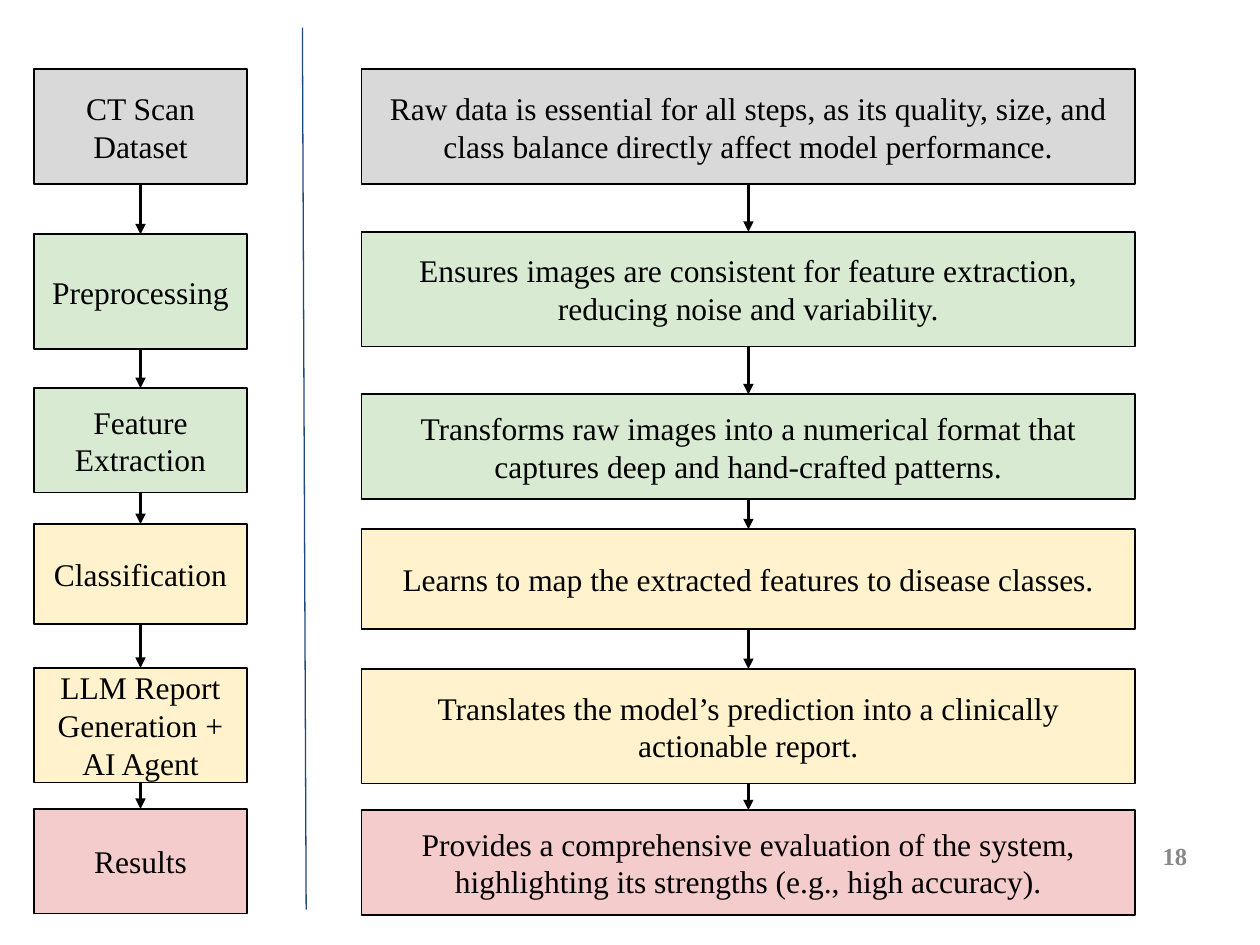
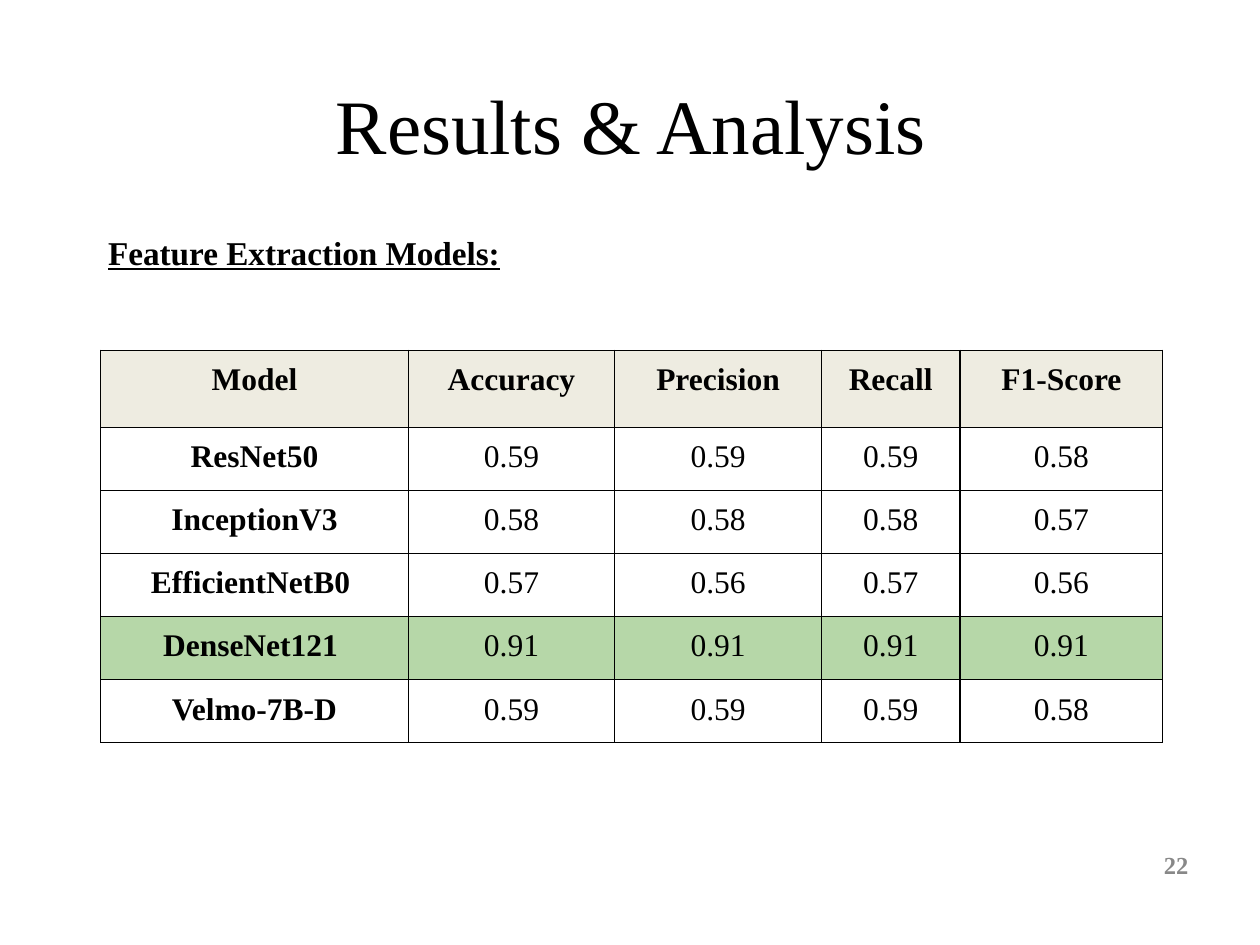
import dataclasses
import itertools

import lxml.etree
import pptx
import pptx.dml.color
import pptx.enum.shapes
import pptx.enum.text
import pptx.oxml.ns
import pptx.util

Inches = pptx.util.Inches
Pt = pptx.util.Pt
Align = pptx.enum.text.PP_ALIGN
Anchor = pptx.enum.text.MSO_ANCHOR
qn = pptx.oxml.ns.qn


@dataclasses.dataclass(frozen=True)
class Theme:
    font: str = "Times New Roman"
    ink: str = "000000"
    paper: str = "FFFFFF"
    muted: str = "888888"
    divider: str = "1F497D"
    data: str = "D9D9D9"
    features: str = "D9EAD3"
    modelling: str = "FFF2CC"
    outcome: str = "F4CCCC"
    header: str = "EEECE1"
    best: str = "B6D7A8"
    title_size: int = 44
    heading_size: int = 19
    body_size: int = 18
    number_size: int = 14


THEME = Theme()

STAGES = [
    ("CT Scan Dataset",
     "Raw data is essential for all steps, as its quality, size, and class balance directly affect model performance.",
     THEME.data),
    ("Preprocessing",
     "Ensures images are consistent for feature extraction, reducing noise and variability.",
     THEME.features),
    ("Feature Extraction",
     "Transforms raw images into a numerical format that captures deep and hand-crafted patterns.",
     THEME.features),
    ("Classification",
     "Learns to map the extracted features to disease classes.",
     THEME.modelling),
    ("LLM Report Generation + AI Agent",
     "Translates the model’s prediction into a clinically actionable report.",
     THEME.modelling),
    ("Results",
     "Provides a comprehensive evaluation of the system, highlighting its strengths (e.g., high accuracy).",
     THEME.outcome),
]
STAGE_HEIGHTS = [0.91, 0.91, 0.83, 0.79, 0.91, 0.83]
NAME_OFFSETS = [0, 1.31, 2.53, 3.61, 4.75, 5.87]
PURPOSE_OFFSETS = [0, 1.29, 2.58, 3.65, 4.76, 5.88]

SCORES = [
    ("Model", "Accuracy", "Precision", "Recall", "F1-Score"),
    ("ResNet50", "0.59", "0.59", "0.59", "0.58"),
    ("InceptionV3", "0.58", "0.58", "0.58", "0.57"),
    ("EfficientNetB0 ", "0.57", "0.56", "0.57", "0.56"),
    ("DenseNet121 ", "0.91", "0.91", "0.91", "0.91"),
    ("Velmo-7B-D", "0.59", "0.59", "0.59", "0.58"),
]
BEST_ROW = 4
COLUMN_WIDTHS = [2.44, 1.64, 1.64, 1.1, 1.61]
ROW_HEIGHTS = [0.61] + [0.45] * 5


def rgb(color):
    return pptx.dml.color.RGBColor.from_string(color)


def write(frame, text, size, align=Align.CENTER, color=THEME.ink, bold=False, underline=False):
    frame.word_wrap = True
    para = frame.paragraphs[0]
    para.text = text
    para.alignment = align
    font = para.font
    font.name, font.size = THEME.font, Pt(size)
    font.bold, font.underline = bold, underline
    font.color.rgb = rgb(color)


def add_text(page, box, text, size, anchor=Anchor.MIDDLE, **style):
    frame = page.shapes.add_textbox(*map(Inches, box)).text_frame
    frame.vertical_anchor = anchor
    write(frame, text, size, **style)
    return frame


def add_page_number(page, box, number):
    add_text(page, box, number, THEME.number_size, align=Align.RIGHT, color=THEME.muted, bold=True)


def add_line(page, start, end, color, width, arrow=False):
    line = page.shapes.add_connector(
        pptx.enum.shapes.MSO_CONNECTOR.STRAIGHT, *map(Inches, start + end))
    line.line.color.rgb = rgb(color)
    line.line.width = Pt(width)
    properties = line.element.spPr
    if arrow:
        lxml.etree.SubElement(properties.find(qn("a:ln")), qn("a:tailEnd"), type="triangle")
    lxml.etree.SubElement(properties, qn("a:effectLst"))


def add_stage(page, box, text, color):
    stage = page.shapes.add_shape(
        pptx.enum.shapes.MSO_SHAPE.RECTANGLE, *map(Inches, box))
    stage.shadow.inherit = False
    stage.fill.solid()
    stage.fill.fore_color.rgb = rgb(color)
    stage.line.color.rgb = rgb(THEME.ink)
    stage.line.width = Pt(1)
    stage.text_frame.vertical_anchor = Anchor.MIDDLE
    write(stage.text_frame, text, THEME.body_size)


def add_flow(page, left, top, width, offsets, texts):
    spans = [(top + offset, height) for offset, height in zip(offsets, STAGE_HEIGHTS)]
    for (stage_top, height), text, stage in zip(spans, texts, STAGES):
        add_stage(page, (left, stage_top, width, height), text, stage[2])
    middle = left + width / 2
    for (upper, height), (lower, _) in itertools.pairwise(spans):
        add_line(page, (middle, upper + height), (middle, lower), THEME.ink, 1.5, arrow=True)


def add_cell_borders(cell):
    properties = cell._tc.get_or_add_tcPr()
    for side in ("lnL", "lnR", "lnT", "lnB"):
        border = lxml.etree.SubElement(properties, qn(f"a:{side}"), w=str(Pt(0.75)))
        fill = lxml.etree.SubElement(border, qn("a:solidFill"))
        lxml.etree.SubElement(fill, qn("a:srgbClr"), val=THEME.ink)


def add_score_table(page, left, top):
    box = (left, top, sum(COLUMN_WIDTHS), sum(ROW_HEIGHTS))
    table = page.shapes.add_table(len(SCORES), len(COLUMN_WIDTHS), *map(Inches, box)).table
    table.first_row = table.horz_banding = False
    for column, width in zip(table.columns, COLUMN_WIDTHS):
        column.width = Inches(width)
    row_colors = {0: THEME.header, BEST_ROW: THEME.best}
    for row_index, (row, height, values) in enumerate(zip(table.rows, ROW_HEIGHTS, SCORES)):
        row.height = Inches(height)
        for column_index, (cell, value) in enumerate(zip(row.cells, values)):
            cell.margin_left = cell.margin_right = Inches(0.1)
            cell.margin_top = cell.margin_bottom = Inches(0.1)
            add_cell_borders(cell)
            cell.fill.solid()
            cell.fill.fore_color.rgb = rgb(row_colors.get(row_index, THEME.paper))
            write(cell.text_frame, value, THEME.body_size, bold=row_index == 0 or column_index == 0)


def build_pipeline_page(page):
    names, purposes, _ = zip(*STAGES)
    add_flow(page, 0.27, 0.55, 1.69, NAME_OFFSETS, names)
    add_line(page, (2.4, 0.22), (2.43, 7.22), THEME.divider, 0.75)
    add_flow(page, 2.87, 0.55, 6.14, PURPOSE_OFFSETS, purposes)
    add_page_number(page, (7.19, 6.59, 2.33, 0.4), "18")


def build_results_page(page):
    add_text(page, (0.51, 0.36, 9, 1.25), "Results & Analysis", THEME.title_size)
    heading = add_text(page, (0.76, 1.74, 4.12, 0.55), "Feature Extraction Models:",
                       THEME.heading_size, anchor=Anchor.TOP, align=Align.LEFT,
                       bold=True, underline=True)
    heading.margin_top = heading.margin_bottom = Inches(0.1)
    add_score_table(page, 0.8, 2.78)
    add_page_number(page, (7.2, 6.66, 2.33, 0.4), "22")


def main():
    deck = pptx.Presentation()
    deck.slide_width, deck.slide_height = Inches(10), Inches(7.5)
    for build in (build_pipeline_page, build_results_page):
        build(deck.slides.add_slide(deck.slide_layouts[6]))
    deck.save("out.pptx")


if __name__ == "__main__":
    main()
